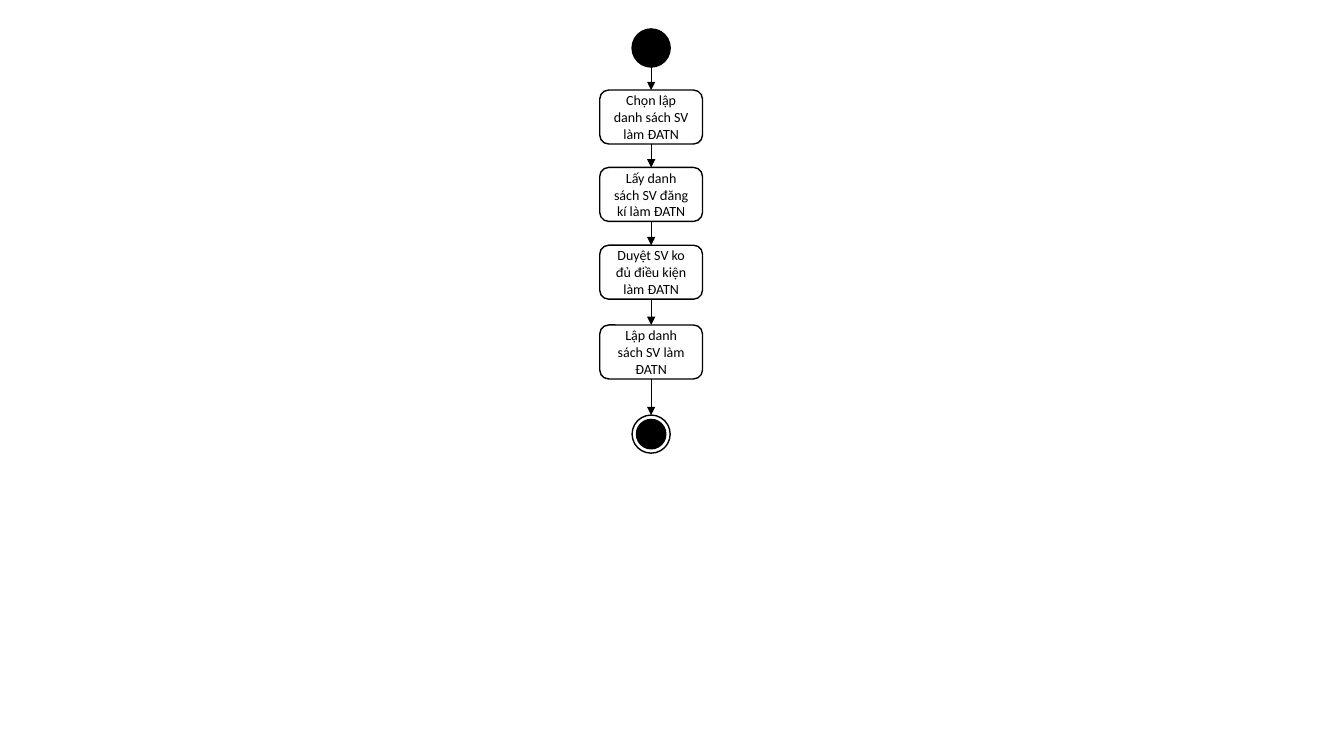
from lxml.etree import SubElement
from pptx import Presentation
from pptx.dml.color import RGBColor
from pptx.enum.shapes import MSO_CONNECTOR, MSO_SHAPE
from pptx.enum.text import MSO_ANCHOR, PP_ALIGN
from pptx.oxml.ns import qn
from pptx.util import Cm, Pt

# Content: each activity and its top edge in cm
ACTIVITIES = [
    ("Chọn lập danh sách SV làm ĐATN", 2.27),
    ("Lấy danh sách SV đăng kí làm ĐATN", 4.22),
    ("Duyệt SV ko đủ điều kiện làm ĐATN", 6.18),
    ("Lập danh sách SV làm ĐATN", 8.19),
]
BLACK, WHITE = "000000", "FFFFFF"

# Layout in cm
CENTER_X = 16.41
BOX_WIDTH, BOX_HEIGHT = 2.59, 1.36
NODE_SIZE, CORE_SIZE = 0.96, 0.74
START_TOP, END_TOP = 0.73, 10.46

prs = Presentation()
prs.slide_width, prs.slide_height = Cm(33.87), Cm(19.05)
slide = prs.slides.add_slide(prs.slide_layouts[6])


def color(hex_value):
    return RGBColor.from_string(hex_value)


def add_node(kind, top, width, height, fill):
    node = slide.shapes.add_shape(
        kind, Cm(CENTER_X - width / 2), Cm(top), Cm(width), Cm(height))
    node.shadow.inherit = False
    node.fill.solid()
    node.fill.fore_color.rgb = color(fill)
    node.line.color.rgb = color(BLACK)
    node.line.width = Pt(1)
    return node


def add_activity(label, top):
    activity = add_node(MSO_SHAPE.ROUNDED_RECTANGLE, top, BOX_WIDTH, BOX_HEIGHT, WHITE)
    frame = activity.text_frame
    frame.text = label
    frame.word_wrap = True
    frame.vertical_anchor = MSO_ANCHOR.MIDDLE
    paragraph = frame.paragraphs[0]
    paragraph.alignment = PP_ALIGN.CENTER
    font = paragraph.runs[0].font
    font.name, font.size = "Calibri", Pt(10)
    font.color.rgb = color(BLACK)


def add_arrow(top, bottom):
    arrow = slide.shapes.add_connector(
        MSO_CONNECTOR.STRAIGHT, Cm(CENTER_X), Cm(top), Cm(CENTER_X), Cm(bottom))
    arrow.line.color.rgb = color(BLACK)
    arrow.line.width = Pt(0.5)
    SubElement(arrow.line._get_or_add_ln(), qn("a:tailEnd"), type="triangle")
    SubElement(arrow._element.spPr, qn("a:effectLst"))


# Start node
add_node(MSO_SHAPE.OVAL, START_TOP, NODE_SIZE, NODE_SIZE, BLACK)

# Activities, each with the arrow leading into it
previous_bottom = START_TOP + NODE_SIZE
for label, top in ACTIVITIES:
    add_arrow(previous_bottom, top)
    add_activity(label, top)
    previous_bottom = top + BOX_HEIGHT

# End node: ring with a solid core
add_arrow(previous_bottom, END_TOP)
add_node(MSO_SHAPE.OVAL, END_TOP, NODE_SIZE, NODE_SIZE, WHITE)
core_top = END_TOP + (NODE_SIZE - CORE_SIZE) / 2
add_node(MSO_SHAPE.OVAL, core_top, CORE_SIZE, CORE_SIZE, BLACK)

prs.save("out.pptx")
